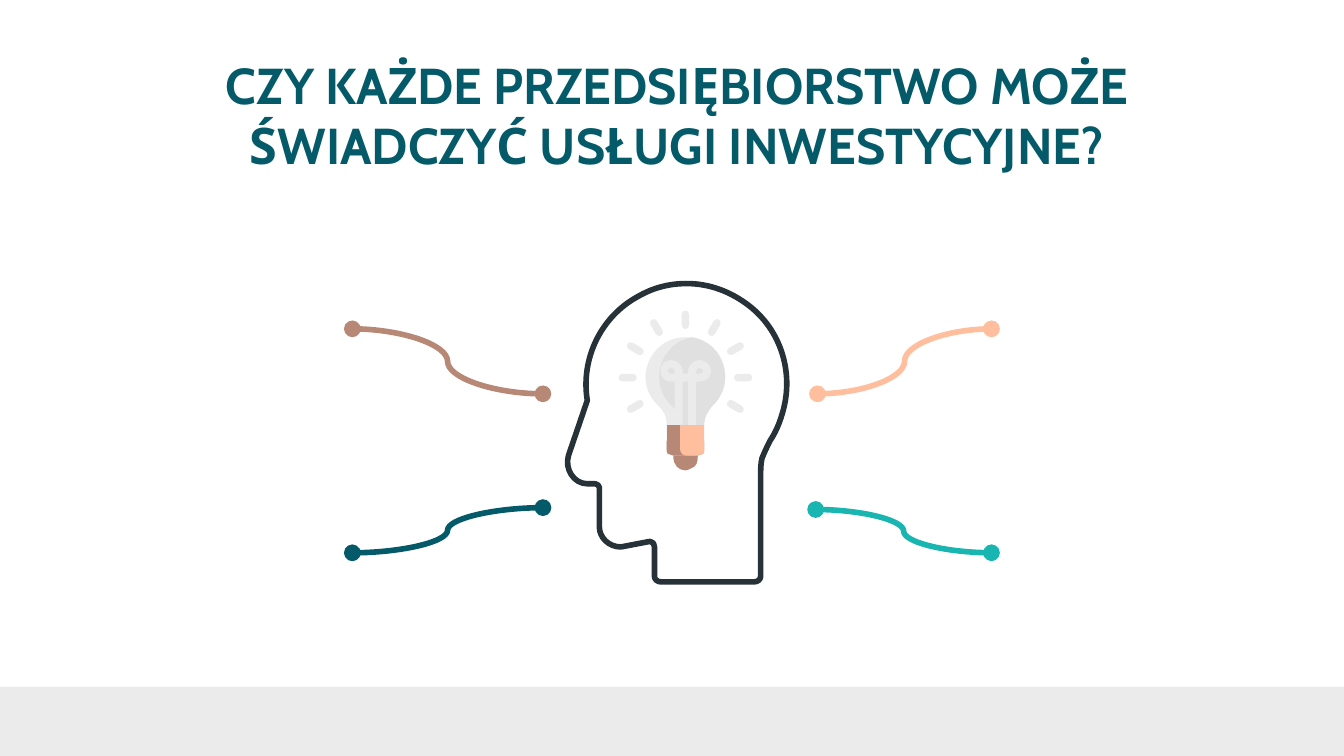
import math

from lxml import etree
from pptx import Presentation
from pptx.dml.color import RGBColor
from pptx.enum.shapes import MSO_CONNECTOR, MSO_SHAPE
from pptx.enum.text import MSO_ANCHOR, PP_ALIGN
from pptx.oxml.ns import qn
from pptx.util import Pt

RECTANGLE = MSO_SHAPE.RECTANGLE
CURVE = MSO_CONNECTOR.CURVE
MIDDLE = MSO_ANCHOR.MIDDLE
CENTER = PP_ALIGN.CENTER

INK = RGBColor(0x26, 0x32, 0x38)
PETROL = RGBColor(0x04, 0x5A, 0x68)
TEAL = RGBColor(0x19, 0xB5, 0xB1)
BROWN = RGBColor(0xB7, 0x88, 0x76)
PEACH = RGBColor(0xFF, 0xBE, 0x9D)
PALE_GREY = RGBColor(0xEB, 0xEB, 0xEB)
GREY = RGBColor(0xE0, 0xE0, 0xE0)

FONT = "Cabin"
TITLE = "CZY KAŻDE PRZEDSIĘBIORSTWO MOŻE ŚWIADCZYĆ USŁUGI INWESTYCYJNE?"
STROKE = Pt(3)

# Outlines are drawn on a grid of 0.72 pt: M move, L line, C cubic curve, Z close.
GRID = Pt(0.72)
PATH_TAGS = {"M": "a:moveTo", "L": "a:lnTo", "C": "a:cubicBezTo", "Z": "a:close"}
POINT_COUNTS = {"M": 1, "L": 1, "C": 3, "Z": 0}

HEAD = """M 511 211 C 498 211 486 214 474 221 C 447 236 432 267 437 298
    L 423 339 C 420 349 427 360 437 360 L 443 360 C 445 360 446 362 446 363
    L 446 392 C 446 400 453 407 462 407 L 483 403 C 483 403 484 403 484 403
    C 486 403 487 405 487 407 L 487 429 C 487 431 489 433 492 433
    L 561 433 C 564 433 566 431 566 429 L 566 355 C 566 350 566 345 567 341
    C 569 336 571 332 573 328 C 577 322 580 315 582 308 L 582 308
    C 591 279 582 247 558 228 C 544 217 528 211 511 211 Z"""

# Right-hand lower corner shared by the bulb and its socket
CORNER = """L 519 339 C 520 339 521 339 522 338 L 522 338
    C 523 338 523 338 523 338 C 524 337 524 335 524 334"""
LEFT_CORNER = """L 496 334 C 496 335 496 337 497 338 C 497 338 498 338 498 338
    L 498 338 C 499 339 500 339 501 339"""

BULB_BACK = [
    (BROWN, """M 501 338 L 501 340 C 501 346 505 350 510 350 C 512 350 513 349 515 348
        L 515 348 C 518 347 519 344 519 340 L 519 338 L 519 338 Z"""),
    (BROWN, """M 510 338 L 510 340 C 510 344 512 347 515 348
        C 518 347 519 344 519 340 L 519 338 Z"""),
    (PALE_GREY, f"""M 510 251 C 483 251 470 284 490 302 C 494 306 496 310 496 315
        {LEFT_CORNER} {CORNER} L 524 315 C 524 310 527 306 530 302
        C 548 286 540 255 515 251 L 515 251 C 513 251 512 251 511 251
        C 510 251 510 251 510 251 Z"""),
    (GREY, """M 515 251 C 491 255 482 286 500 302 C 504 306 506 310 506 315
        L 506 334 C 506 337 508 339 511 339 C 511 339 511 339 511 339
        L 519 339 C 522 339 524 337 524 334 L 524 315 C 524 310 527 306 530 302
        L 530 302 C 548 286 539 255 515 251 Z"""),
    (PALE_GREY, """M 500 274 C 501 274 502 275 502 276 L 502 278 L 502 278 L 499 278
        C 496 278 496 274 499 274 Z
        M 521 274 C 524 274 524 278 521 278 L 518 278 L 518 276 C 518 275 519 274 520 274 Z
        M 499 268 C 489 268 489 284 499 284 L 502 284 L 502 316 L 508 316 L 508 284
        L 512 284 L 512 317 L 518 317 L 518 284 L 521 284 C 525 284 529 281 529 276
        C 529 272 525 268 521 268 L 521 268 L 520 268 C 516 268 512 272 512 276
        L 512 278 L 508 278 L 508 276 C 508 272 504 268 500 268 Z"""),
]
BULB_SOCKET = [
    (BROWN, "M 496 316 L 496 328 L 524 328 L 524 316 Z"),
    (BROWN, f"M 496 328 {LEFT_CORNER} {CORNER} L 524 328 Z"),
    (PEACH, "M 506 316 L 506 328 L 524 328 L 524 316 Z"),
    (PEACH, f"M 506 328 L 506 334 C 506 337 508 339 511 339 {CORNER} L 524 328 Z"),
]

RAY_CENTER = (510, 281)
RAY_START, RAY_END, RAY_RADIUS = 39, 47, 2.8
RAY_ANGLES = range(-30, 211, 30)

# Colour, outer end and inner end in points
BRANCHES = [
    (BROWN, (188.8, 176.2), (290.9, 211)),
    (PETROL, (188.8, 296.2), (290.9, 272)),
    (PEACH, (531.2, 176.2), (438, 211)),
    (TEAL, (531.2, 296.2), (437, 273)),
]


def commands_of(outline):
    """Split an outline into (letter, points) pairs."""
    tokens = iter(outline.split())
    return [(letter, [(float(next(tokens)), float(next(tokens)))
                      for _ in range(POINT_COUNTS[letter])])
            for letter in tokens]


def ray_commands(degrees):
    """Round-ended bar pointing away from the bulb."""
    cos, sin = math.cos(math.radians(degrees)), math.sin(math.radians(degrees))

    def place(along, across):
        return (RAY_CENTER[0] + along * cos - across * sin,
                RAY_CENTER[1] - along * sin - across * cos)

    r, bulge = RAY_RADIUS, RAY_RADIUS * 4 / 3
    return [
        ("M", [place(RAY_START, r)]),
        ("L", [place(RAY_END, r)]),
        ("C", [place(RAY_END + bulge, r), place(RAY_END + bulge, -r), place(RAY_END, -r)]),
        ("L", [place(RAY_START, -r)]),
        ("C", [place(RAY_START - bulge, -r), place(RAY_START - bulge, r), place(RAY_START, r)]),
        ("Z", []),
    ]


def bounds(commands):
    """Left, top, right and bottom that the curves really reach."""
    reached = []
    for letter, points in commands:
        if letter == "C":
            controls = [reached[-1]] + points
            for t in (step / 20 for step in range(1, 21)):
                weights = [math.comb(3, i) * (1 - t) ** (3 - i) * t ** i for i in range(4)]
                reached.append(tuple(sum(w * p[axis] for w, p in zip(weights, controls))
                                     for axis in (0, 1)))
        else:
            reached += points
    xs, ys = zip(*reached)
    return min(xs), min(ys), max(xs), max(ys)


def paint(shape, fill=None, line=None):
    shape.shadow.inherit = False
    if fill is None:
        shape.fill.background()
    else:
        shape.fill.solid()
        shape.fill.fore_color.rgb = fill
    if line is None:
        shape.line.fill.background()
    else:
        shape.line.color.rgb = line
        shape.line.width = STROKE


def draw_outline(shapes, commands, fill=None, line=None):
    """Add a freeform of the right extent, then give its path true curves."""
    left, top, right, bottom = (v * GRID for v in bounds(commands))
    builder = shapes.build_freeform(left, top)
    builder.add_line_segments([(right, bottom)])
    shape = builder.convert_to_shape()
    path = next(shape._element.iter(qn("a:path")))
    for segment in list(path):
        path.remove(segment)
    for letter, points in commands:
        segment = etree.SubElement(path, qn(PATH_TAGS[letter]))
        for x, y in points:
            etree.SubElement(segment, qn("a:pt"),
                             x=str(round(x * GRID - left)), y=str(round(y * GRID - top)))
    paint(shape, fill, line)


def draw_branch(shapes, color, outer, inner):
    branch = shapes.add_connector(CURVE, *(Pt(v) for v in outer + inner))
    branch.line.color.rgb = color
    branch.line.width = STROKE
    line = branch.line._get_or_add_ln()
    for end in ("a:headEnd", "a:tailEnd"):
        etree.SubElement(line, qn(end), type="oval")
    etree.SubElement(branch._element.spPr, qn("a:effectLst"))


def draw_title(shapes):
    box = shapes.add_textbox(Pt(54.7), Pt(42.2), Pt(615.6), Pt(38.2))
    frame = box.text_frame
    frame.word_wrap = True
    frame.vertical_anchor = MIDDLE
    frame.margin_left = frame.margin_right = Pt(7.2)
    frame.margin_top = frame.margin_bottom = Pt(7.2)
    frame.text = TITLE
    paragraph = frame.paragraphs[0]
    paragraph.alignment = CENTER
    font = paragraph.runs[0].font
    font.name, font.size, font.bold = FONT, Pt(27), True
    font.color.rgb = PETROL


def main():
    deck = Presentation()
    deck.slide_width, deck.slide_height = Pt(720), Pt(405)
    shapes = deck.slides.add_slide(deck.slide_layouts[6]).shapes

    paint(shapes.add_shape(RECTANGLE, 0, Pt(368), Pt(720), Pt(37)), PALE_GREY)
    draw_title(shapes)
    draw_outline(shapes, commands_of(HEAD), line=INK)
    for color, outline in BULB_BACK:
        draw_outline(shapes, commands_of(outline), color)
    for degrees in RAY_ANGLES:
        draw_outline(shapes, ray_commands(degrees), PALE_GREY)
    for color, outline in BULB_SOCKET:
        draw_outline(shapes, commands_of(outline), color)
    for color, outer, inner in BRANCHES:
        draw_branch(shapes, color, outer, inner)

    deck.save("out.pptx")


if __name__ == "__main__":
    main()
